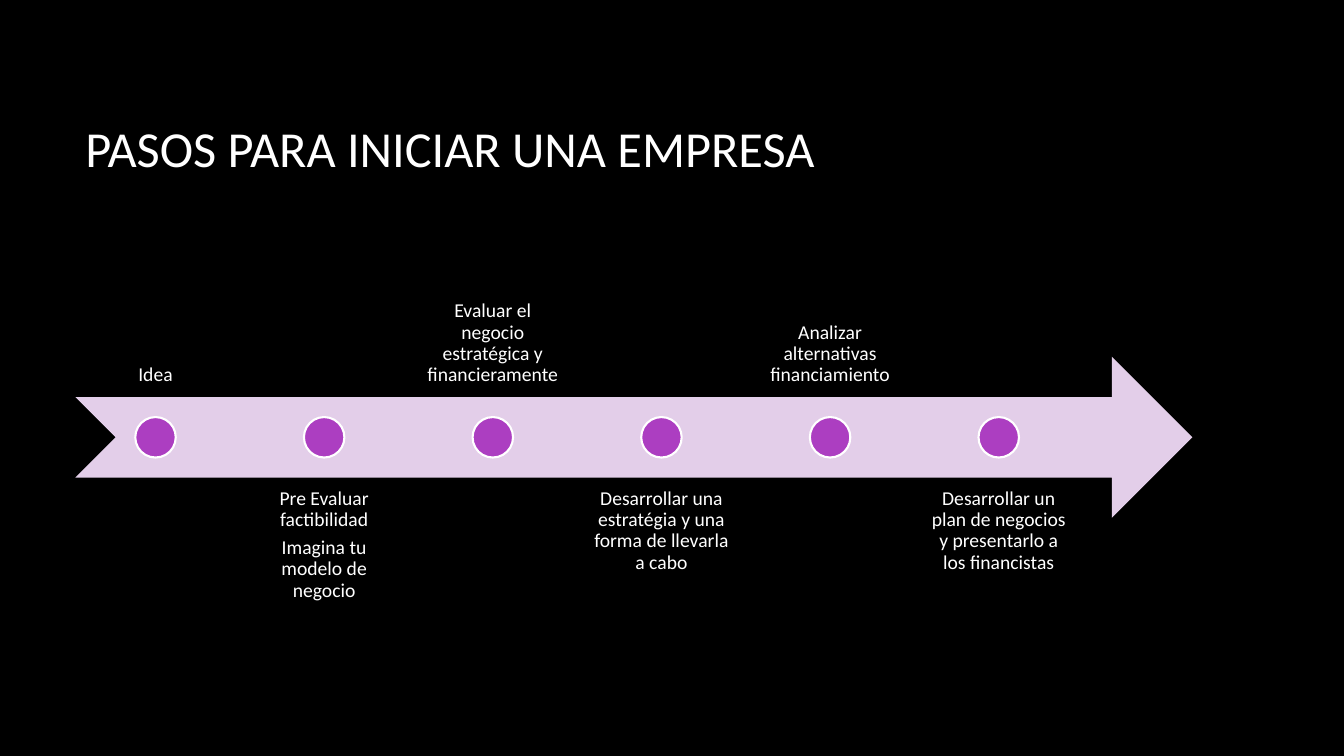
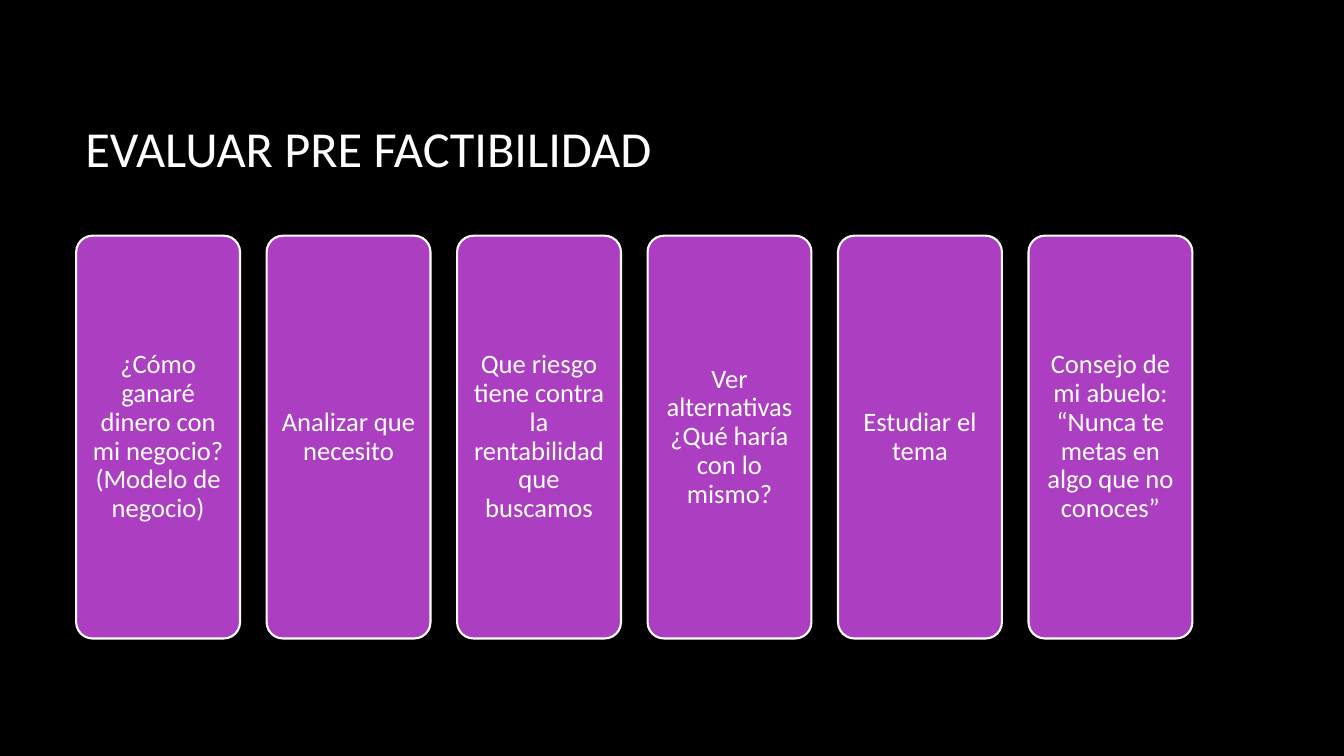
from pptx import Presentation
from pptx.dml.color import RGBColor
from pptx.enum import shapes, text
from pptx.util import Cm, Pt

COLORS = {"back": "000000", "text": "FFFFFF", "accent": "AC3EC1", "band": "E3CEE9"}
KINDS = shapes.MSO_SHAPE
ANCHOR = text.MSO_ANCHOR
LEFT, WIDTH = 1.9, 28.15
TOP = 5.94

STEPS = [
    ["Idea"],
    ["Pre Evaluar factibilidad", "Imagina tu modelo de negocio"],
    ["Evaluar el negocio estratégica y financieramente"],
    ["Desarrollar una estratégia y una forma de llevarla a cabo"],
    ["Analizar alternativas financiamiento"],
    ["Desarrollar un plan de negocios y presentarlo a los financistas"],
]
QUESTIONS = [
    "¿Cómo ganaré dinero con mi negocio? (Modelo de negocio)",
    "Analizar que necesito",
    "Que riesgo tiene contra la rentabilidad que buscamos",
    "Ver alternativas ¿Qué haría con lo mismo?",
    "Estudiar el tema",
    "Consejo de mi abuelo: “Nunca te metas en algo que no conoces”",
]


def color(name):
    return RGBColor.from_string(COLORS[name])


def set_format(target, values):
    for name, value in values.items():
        setattr(target, name, value)


class Painter:
    """Holds the deck style and draws on the current page."""

    font = "Calibri"

    def __init__(self):
        self.deck = Presentation()
        set_format(self.deck, {"slide_width": Cm(33.87), "slide_height": Cm(19.05)})
        self.page = None

    def new_page(self, title):
        self.page = self.deck.slides.add_slide(self.deck.slide_layouts[6])
        fill = self.page.background.fill
        fill.solid()
        fill.fore_color.rgb = color("back")
        self.label([title], (LEFT, 1.7, WIDTH, 4.04), 36, ANCHOR.MIDDLE, 0.25,
                   {"alignment": text.PP_ALIGN.LEFT})

    def fill_text(self, shape, lines, size, anchor, inset, para_format=None):
        frame = shape.text_frame
        sides = ("left", "top", "right", "bottom")
        set_format(frame, {f"margin_{side}": Cm(inset) for side in sides})
        set_format(frame, {"word_wrap": True, "vertical_anchor": anchor})
        body_format = {
            "alignment": text.PP_ALIGN.CENTER,
            "line_spacing": 0.9,
            "space_after": Pt(size * 0.35),
        }
        for index, line in enumerate(lines):
            para = frame.add_paragraph() if index else frame.paragraphs[0]
            set_format(para, para_format or body_format)
            span = para.add_run()
            span.text = line
            set_format(span.font, {"name": self.font, "size": Pt(size)})
            span.font.color.rgb = color("text")

    def label(self, lines, area, size, anchor, inset, para_format=None):
        box = self.page.shapes.add_textbox(*map(Cm, area))
        self.fill_text(box, lines, size, anchor, inset, para_format)

    def shape(self, kind, area, fill, outlined=True):
        shape = self.page.shapes.add_shape(kind, *map(Cm, area))
        shape.shadow.inherit = False
        shape.fill.solid()
        shape.fill.fore_color.rgb = color(fill)
        if outlined:
            shape.line.color.rgb = color("text")
            shape.line.width = Pt(1.5)
        else:
            shape.line.fill.background()
        return shape

    def timeline(self, steps):
        """Draw an arrow with a dot per step and labels alternating above and below."""
        middle, height, dot = 11.02, 4.06, 1.02
        label_width, pitch = 4.04, 4.25
        self.shape(KINDS.NOTCHED_RIGHT_ARROW,
                   (LEFT, middle - height / 2, WIDTH, height), "band", outlined=False)
        for index, lines in enumerate(steps):
            left = LEFT + index * pitch
            below = index % 2
            top = TOP + below * height * 1.5
            self.label(lines, (left, top, label_width, height), 14,
                       ANCHOR.TOP if below else ANCHOR.BOTTOM, 0.28)
            self.shape(KINDS.OVAL, (left + (label_width - dot) / 2, middle - dot / 2,
                                    dot, dot), "accent")

    def cards(self, texts):
        width, pitch = 4.13, 4.8
        for index, line in enumerate(texts):
            card = self.shape(KINDS.ROUNDED_RECTANGLE,
                              (LEFT + 0.02 + index * pitch, TOP, width, 10.15), "accent")
            card.adjustments[0] = 0.1
            self.fill_text(card, [line], 19, ANCHOR.MIDDLE, 0.2)


def main():
    painter = Painter()
    painter.new_page("PASOS PARA INICIAR UNA EMPRESA")
    painter.timeline(STEPS)
    painter.new_page("EVALUAR PRE FACTIBILIDAD")
    painter.cards(QUESTIONS)
    painter.deck.save("out.pptx")


if __name__ == "__main__":
    main()
